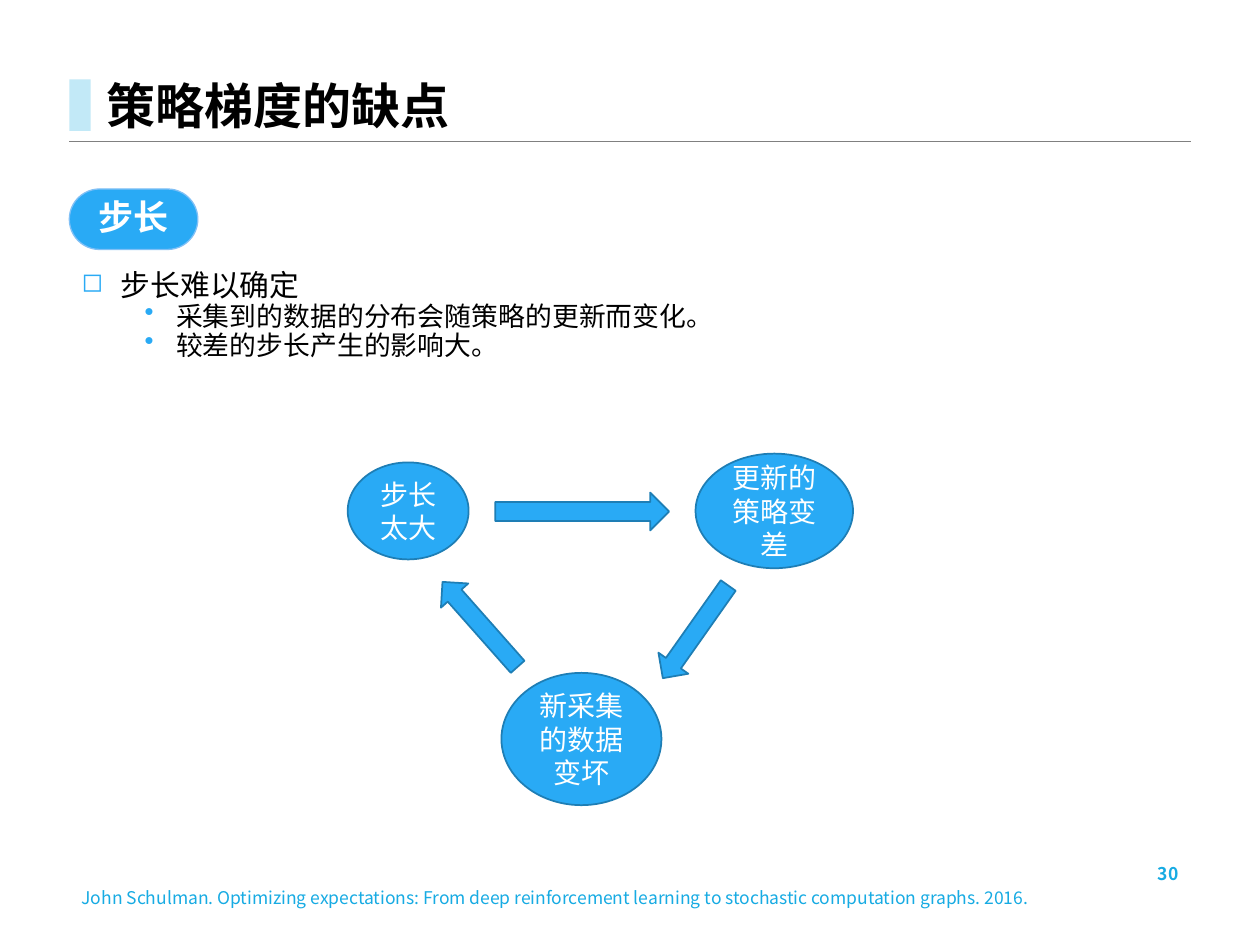
from lxml import etree
from pptx import Presentation
from pptx.dml.color import RGBColor
from pptx.enum.shapes import MSO_CONNECTOR, MSO_SHAPE
from pptx.enum.text import MSO_ANCHOR, PP_ALIGN
from pptx.oxml.ns import qn
from pptx.util import Inches, Pt

LINE = MSO_CONNECTOR.STRAIGHT
RECT, PILL = MSO_SHAPE.RECTANGLE, MSO_SHAPE.ROUNDED_RECTANGLE
OVAL, ARROW = MSO_SHAPE.OVAL, MSO_SHAPE.RIGHT_ARROW
MID, BASE, TOP = MSO_ANCHOR.MIDDLE, MSO_ANCHOR.BOTTOM, MSO_ANCHOR.TOP
LEFT, CENTER, RIGHT = PP_ALIGN.LEFT, PP_ALIGN.CENTER, PP_ALIGN.RIGHT

BLUE = RGBColor(0x29, 0xAA, 0xF5)
EDGE = RGBColor(0x1E, 0x7E, 0xB5)
RIM = RGBColor(0x80, 0xC0, 0xF6)
PALE = RGBColor(0xC2, 0xE9, 0xF7)
CYAN = RGBColor(0x17, 0xAB, 0xE3)
GRAY = RGBColor(0x80, 0x80, 0x80)
BLACK = RGBColor(0, 0, 0)
WHITE = RGBColor(0xFF, 0xFF, 0xFF)
CJK, LATIN = "Noto Sans CJK JP", "Arial"


class Deck:
    edge = 0.55
    wide = 8.9

    def __init__(self):
        self.prs = Presentation()
        self.prs.slide_width, self.prs.slide_height = Inches(10), Inches(7.5)
        self.slide = self.prs.slides.add_slide(self.prs.slide_layouts[6])

    def rule(self, top):
        left, right, y = Inches(self.edge), Inches(self.edge + self.wide), Inches(top)
        line = self.slide.shapes.add_connector(LINE, left, y, right, y)
        line.line.color.rgb = GRAY
        line.line.width = Pt(0.25)
        etree.SubElement(line._element.spPr, qn("a:effectLst"))

    def shape(self, kind, at, fill=BLUE, line=EDGE, width=1, turn=0):
        item = self.slide.shapes.add_shape(kind, *map(Inches, at))
        item.shadow.inherit = False
        item.rotation = turn
        item.fill.solid()
        item.fill.fore_color.rgb = fill
        if line is None:
            item.line.fill.background()
        else:
            item.line.color.rgb = line
            item.line.width = Pt(width)
        return item

    def box(self, at, anchor=MID):
        frame = self.slide.shapes.add_textbox(*map(Inches, at)).text_frame
        frame.word_wrap = True
        frame.vertical_anchor = anchor
        return frame

    def put(self, para, text, size, color, name=CJK, bold=False, **form):
        for key, value in form.items():
            setattr(para, key, value)
        run = para.add_run()
        run.text = text
        font = run.font
        for key, value in {"size": Pt(size), "name": name, "bold": bold}.items():
            setattr(font, key, value)
        font.color.rgb = color
        etree.SubElement(run._r.get_or_add_rPr(), qn("a:ea"), typeface=name)

    def bullet(self, para, mark, left, hang, scale):
        props = para._p.get_or_add_pPr()
        props.set("marL", str(Inches(left)))
        props.set("indent", str(-Inches(hang)))
        tint = etree.SubElement(props, qn("a:buClr"))
        etree.SubElement(tint, qn("a:srgbClr"), val=str(BLUE))
        etree.SubElement(props, qn("a:buSzPct"), val=str(scale * 1000))
        etree.SubElement(props, qn("a:buChar"), char=mark)

    def points(self, at, head, subs):
        frame = self.box(at, TOP)
        para = frame.paragraphs[0]
        self.bullet(para, "◻", 0.31, 0.31, 88)
        self.put(para, head, 17, BLACK, line_spacing=0.8)
        for text in subs:
            para = frame.add_paragraph()
            self.bullet(para, "•", 0.75, 0.25, 100)
            self.put(para, text, 15.3, BLACK, level=1,
                     line_spacing=0.8, space_before=Pt(2))

    def label(self, at, text, size, color, anchor=MID, **form):
        self.put(self.box(at, anchor).paragraphs[0], text, size, color, **form)

    def badge(self, at, text):
        item = self.shape(PILL, at, line=RIM, width=0.75)
        item.adjustments[0] = 0.5
        self.put(item.text_frame.paragraphs[0], text, 20, WHITE,
                 bold=True, alignment=CENTER, line_spacing=0.9)

    def node(self, at, text):
        frame = self.shape(OVAL, at).text_frame
        frame.vertical_anchor = MID
        self.put(frame.paragraphs[0], text, 16, WHITE, LATIN, alignment=CENTER)


def main():
    deck = Deck()
    edge, wide = deck.edge, deck.wide
    deck.rule(1.12)
    deck.shape(RECT, (edge, 0.63, 0.17, 0.41), PALE, None)
    deck.label((0.75, 0, wide, 1.12), "策略梯度的缺点", 28, BLACK, BASE,
               bold=True, line_spacing=0.9)
    deck.label((7.06, 6.82, 2.39, 0.23), "30", 10, CYAN, bold=True, alignment=RIGHT)
    deck.badge((edge, 1.5, 1.02, 0.48), "步长")
    deck.points((edge, 2.12, wide, 0.91), "步长难以确定", (
        "采集到的数据的分布会随策略的更新而变化。",
        "较差的步长产生的影响大。",
    ))
    for at, text in (
        ((2.76, 3.67, 0.96, 0.77), "步长太大"),
        ((5.52, 3.6, 1.25, 0.91), "更新的策略变差"),
        ((3.98, 5.34, 1.27, 1.05), "新采集的数据变坏"),
    ):
        deck.node(at, text)
    for at, turn in (
        ((3.93, 3.91, 1.38, 0.3), 0),
        ((5.07, 4.87, 0.9, 0.29), 125.2),
        ((3.36, 4.81, 0.9, 0.29), 228.5),
    ):
        deck.shape(ARROW, at, turn=turn)
    deck.label((edge, 7.02, 9.31, 0.2),
               "John Schulman. Optimizing expectations: From deep reinforcement "
               "learning to stochastic computation graphs. 2016.",
               10, CYAN, alignment=LEFT)
    deck.prs.save("out.pptx")


if __name__ == "__main__":
    main()
